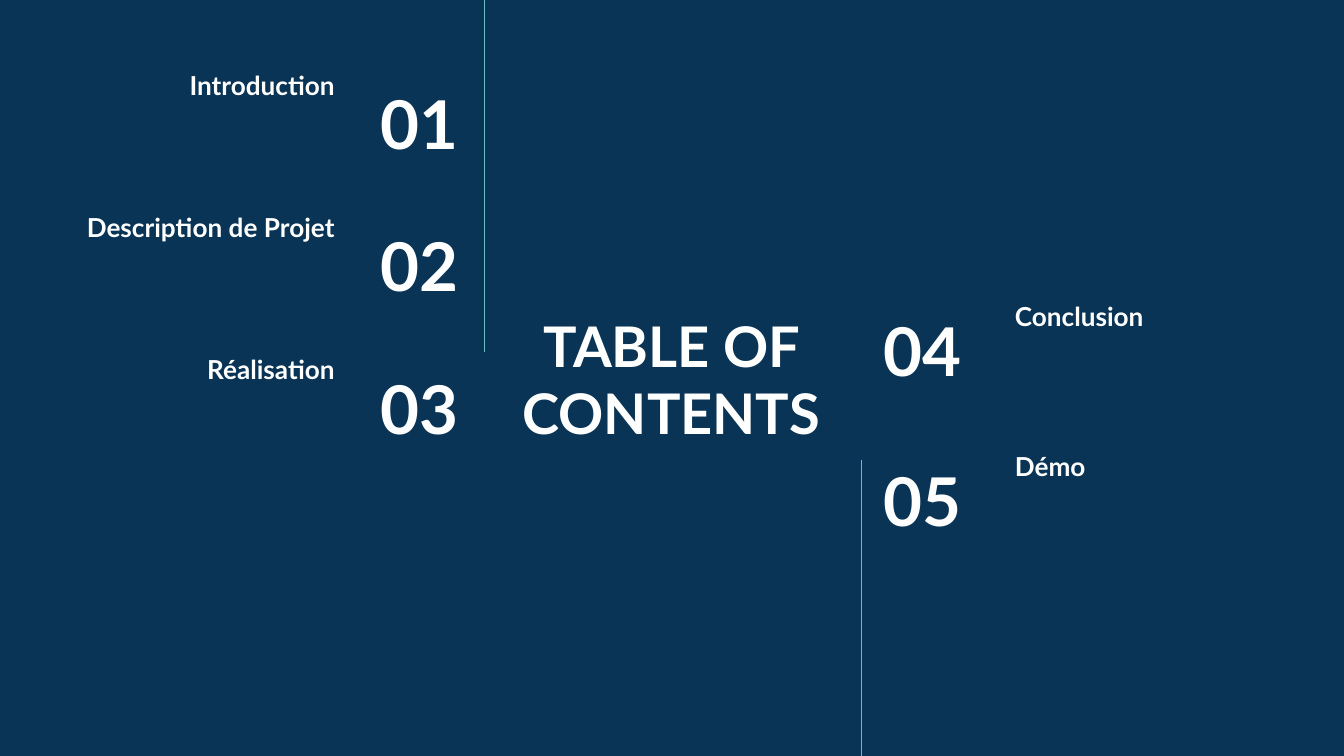
from lxml import etree
from pptx import Presentation
from pptx.dml.color import RGBColor
from pptx.enum import shapes, text
from pptx.oxml.ns import qn
from pptx.util import Cm, Pt

NAVY = RGBColor(0x0A, 0x34, 0x55)
TEAL = RGBColor(0x6E, 0xBD, 0xC4)
WHITE = RGBColor(0xFF, 0xFF, 0xFF)
FONT = "Lato"
INSET = Cm(0.25)
ROW_HEIGHT = 1.6
LABEL_WIDTH = 5.49

LEFT = text.PP_ALIGN.LEFT
CENTER = text.PP_ALIGN.CENTER
RIGHT = text.PP_ALIGN.RIGHT
MIDDLE = text.MSO_ANCHOR.MIDDLE
BOTTOM = text.MSO_ANCHOR.BOTTOM


def write(box, wording, size, align, anchor):
    frame = box.text_frame
    frame.text = wording
    frame.word_wrap = True
    frame.auto_size = text.MSO_AUTO_SIZE.NONE
    frame.vertical_anchor = anchor
    frame.margin_left = frame.margin_right = INSET
    frame.margin_top = frame.margin_bottom = INSET
    paragraph = frame.paragraphs[0]
    paragraph.alignment = align
    font = paragraph.runs[0].font
    font.name, font.size, font.bold = FONT, Pt(size), True
    font.color.rgb = WHITE


def add_heading(slide, wording):
    heading = slide.shapes.title
    heading.left, heading.top = Cm(9.4), Cm(5.84)
    heading.width, heading.height = Cm(6.58), Cm(2.62)
    write(heading, wording, 30, CENTER, MIDDLE)


def add_text(slide, wording, left, top, width, size, align, anchor):
    box = slide.shapes.add_textbox(Cm(left), Cm(top), Cm(width), Cm(ROW_HEIGHT))
    write(box, wording, size, align, anchor)


def add_entries(slide, entries, first, top, step, number_left, number_width,
                label_left, label_rise, align):
    """Stack numbered entries; each label sits label_rise above its number."""
    for row, entry in enumerate(entries):
        y = top + row * step
        add_text(slide, f"{first + row:02}", number_left, y, number_width,
                 36, align, MIDDLE)
        add_text(slide, entry, label_left, y - label_rise, LABEL_WIDTH,
                 14, align, BOTTOM)


def add_divider(slide, x, top, bottom):
    divider = slide.shapes.add_connector(
        shapes.MSO_CONNECTOR.STRAIGHT, Cm(x), Cm(top), Cm(x), Cm(bottom))
    divider.line.color.rgb = TEAL
    divider.line.width = Pt(0.75)
    etree.SubElement(divider._element.spPr, qn("a:effectLst"))


def main():
    prs = Presentation()
    prs.slide_width, prs.slide_height = Cm(25.4), Cm(14.29)
    slide = prs.slides.add_slide(prs.slide_layouts[5])
    slide.background.fill.solid()
    slide.background.fill.fore_color.rgb = NAVY

    add_heading(slide, "TABLE OF CONTENTS")
    add_entries(slide, ["Introduction", "Description de Projet", "Réalisation"],
                first=1, top=1.52, step=2.69, number_left=5.85,
                number_width=3.07, label_left=1.09, label_rise=0.97, align=RIGHT)
    add_entries(slide, ["Conclusion", "Démo"],
                first=4, top=5.81, step=2.83, number_left=16.45,
                number_width=2.97, label_left=18.93, label_rise=0.88, align=LEFT)
    add_divider(slide, 9.16, 0, 6.65)
    add_divider(slide, 16.28, 8.69, 14.29)

    prs.save("out.pptx")


if __name__ == "__main__":
    main()
